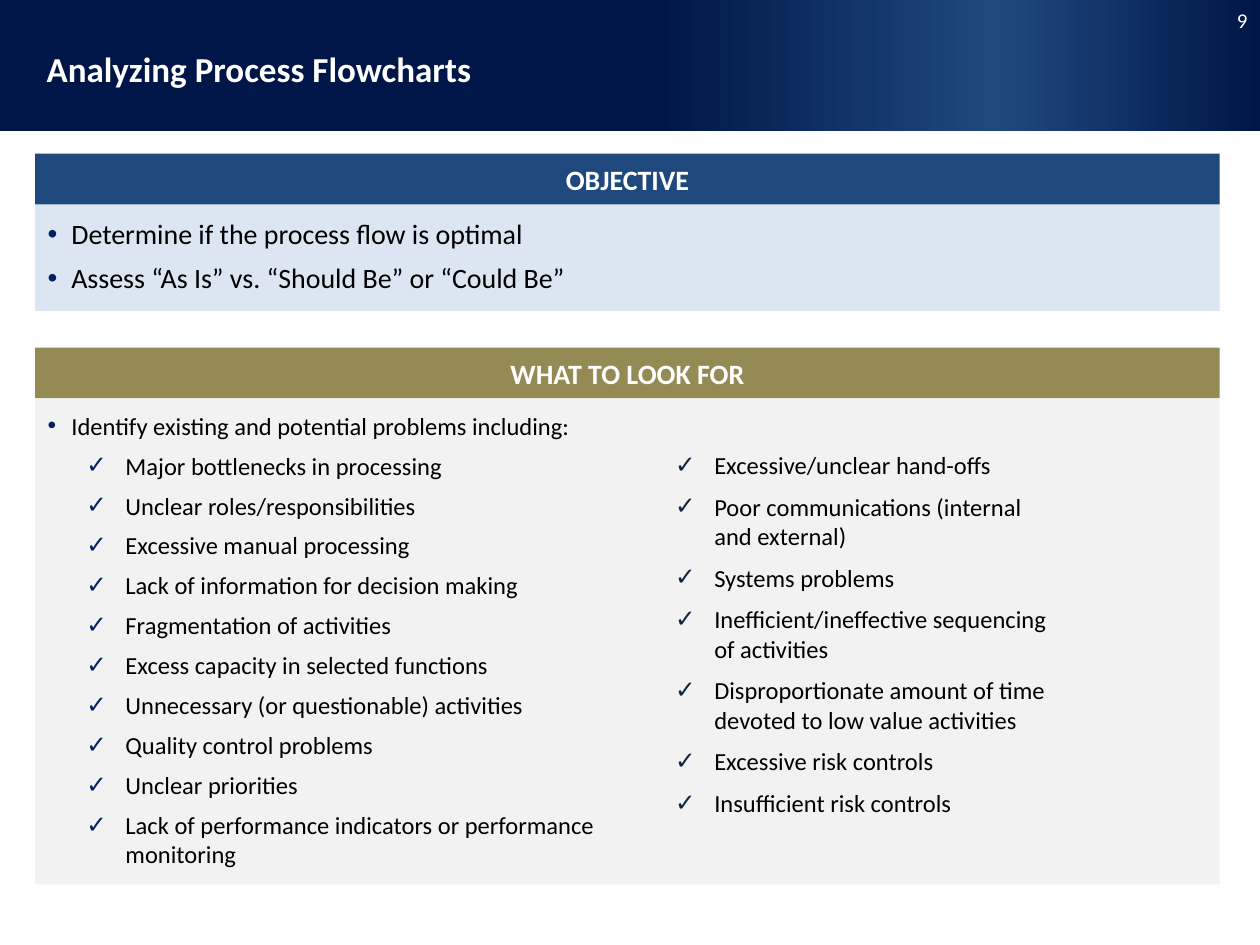
from dataclasses import dataclass

from lxml.etree import SubElement
from pptx import Presentation
from pptx.dml.color import RGBColor
from pptx.enum.shapes import MSO_SHAPE as Preset
from pptx.enum.text import MSO_ANCHOR as Anchor, PP_ALIGN as Align
from pptx.oxml.ns import qn
from pptx.util import Cm, Pt


@dataclass(frozen=True)
class Theme:
    font: str = "Calibri"
    navy: str = "001648"
    blue: str = "1F497D"
    pale_blue: str = "DCE6F2"
    olive: str = "948A54"
    grey: str = "F2F2F2"
    white: str = "FFFFFF"
    black: str = "000000"
    bullet: str = "002060"
    dark_bullet: str = "0F243E"
    title_size: int = 20
    heading_size: int = 16
    list_size: int = 14
    number_size: int = 12


@dataclass(frozen=True)
class Box:
    """Left, top, width and height in centimetres."""
    left: float
    top: float
    width: float
    height: float

    def lengths(self):
        return [Cm(side) for side in (self.left, self.top, self.width, self.height)]


@dataclass(frozen=True)
class ListStyle:
    mark: str
    color: str
    margin: float
    hanging: float
    size: int
    space_after: int = 6


THEME = Theme()
HEADER_HEIGHT = 1.02
POINT = ListStyle("•", THEME.bullet, 0.48, 0.48, THEME.heading_size)
LEAD = ListStyle("•", THEME.bullet, 0.48, 0.48, THEME.list_size)
CHECK = ListStyle("✓", THEME.bullet, 1.57, 0.79, THEME.list_size)
SIDE_CHECK = ListStyle("✓", THEME.dark_bullet, 1.45, 0.79, THEME.list_size, 7)

OBJECTIVES = [
    "Determine if the process flow is optimal",
    "Assess “As Is” vs. “Should Be” or “Could Be”",
]
LEAD_IN = "Identify existing and potential problems including:"
PROBLEMS = [
    "Major bottlenecks in processing",
    "Unclear roles/responsibilities",
    "Excessive manual processing",
    "Lack of information for decision making",
    "Fragmentation of activities",
    "Excess capacity in selected functions",
    "Unnecessary (or questionable) activities",
    "Quality control problems",
    "Unclear priorities",
    "Lack of performance indicators or performance \vmonitoring",
]
MORE_PROBLEMS = [
    "Excessive/unclear hand-offs",
    "Poor communications (internal and external)",
    "Systems problems",
    "Inefficient/ineffective sequencing of activities",
    "Disproportionate amount of time devoted to low value activities",
    "Excessive risk controls",
    "Insufficient risk controls",
]


def set_font(paragraph, size, color, bold=False):
    font = paragraph.font
    font.name, font.size, font.bold = THEME.font, Pt(size), bold
    font.color.rgb = RGBColor.from_string(color)


def set_frame(frame, anchor=Anchor.TOP, inset=0.13):
    """Wrap the text and set its anchor and its top and bottom insets."""
    frame.word_wrap = True
    frame.vertical_anchor = anchor
    frame.margin_left = frame.margin_right = Cm(0.25)
    frame.margin_top = frame.margin_bottom = Cm(inset)


def add_rectangle(shapes, box):
    rectangle = shapes.add_shape(Preset.RECTANGLE, *box.lengths())
    rectangle.shadow.inherit = False
    rectangle.line.fill.background()
    return rectangle


def add_fill(shape, color):
    shape.fill.solid()
    shape.fill.fore_color.rgb = RGBColor.from_string(color)


def add_label(shapes, box, text, size, bold=False, align=Align.LEFT):
    frame = shapes.add_textbox(*box.lengths()).text_frame
    set_frame(frame, Anchor.MIDDLE)
    label = frame.paragraphs[0]
    label.text, label.alignment = text, align
    set_font(label, size, THEME.white, bold)
    return label


def set_bullet(paragraph, style):
    properties = paragraph._p.get_or_add_pPr()
    properties.set("marL", str(Cm(style.margin)))
    properties.set("indent", str(-Cm(style.hanging)))
    color = SubElement(properties, qn("a:buClr"))
    SubElement(color, qn("a:srgbClr"), val=style.color)
    SubElement(properties, qn("a:buFont"), typeface="Arial")
    SubElement(properties, qn("a:buChar"), char=style.mark)


def fill_list(frame, entries):
    """Write (text, style) pairs, one bulleted paragraph each."""
    for index, (text, style) in enumerate(entries):
        point = frame.add_paragraph() if index else frame.paragraphs[0]
        point.text, point.alignment = text, Align.LEFT
        set_bullet(point, style)
        point.space_after = Pt(style.space_after)
        set_font(point, style.size, THEME.black)


def set_gradient(shape, stops):
    shape.fill.gradient()
    shape.fill.gradient_angle = 0
    stop_list = shape._element.spPr.find(".//" + qn("a:gsLst"))
    for old_stop in list(stop_list):
        stop_list.remove(old_stop)
    for percent, color in stops:
        stop = SubElement(stop_list, qn("a:gs"), pos=str(percent * 1000))
        SubElement(stop, qn("a:srgbClr"), val=color)


def add_banner(slide, box, title, number):
    band = add_rectangle(slide.shapes, box)
    set_gradient(band, [(0, THEME.navy), (52, THEME.navy),
                        (79, THEME.blue), (100, THEME.navy)])
    number_box = Box(box.left + box.width - 1.02, box.top + 0.03, 1.02, 0.76)
    add_label(slide.shapes, number_box, number, THEME.number_size, align=Align.RIGHT)
    title_box = Box(box.left + 0.69, box.top + 0.64, 23.5, 1.6)
    heading = add_label(slide.shapes, title_box, title, THEME.title_size, bold=True)
    heading.line_spacing = 0.9


def add_panel(slide, box, heading, header_color, body_color, entries):
    """A coloured header above a box with a bulleted list."""
    shapes = slide.shapes.add_group_shape().shapes
    body = add_rectangle(shapes, Box(box.left, box.top + HEADER_HEIGHT,
                                     box.width, box.height - HEADER_HEIGHT))
    add_fill(body, body_color)
    set_frame(body.text_frame, inset=0.25)
    fill_list(body.text_frame, entries)

    header = add_rectangle(shapes, Box(box.left, box.top, box.width, HEADER_HEIGHT))
    add_fill(header, header_color)
    set_frame(header.text_frame, Anchor.MIDDLE)
    label = header.text_frame.paragraphs[0]
    label.text, label.alignment = heading, Align.CENTER
    set_font(label, THEME.heading_size, THEME.white, bold=True)


def add_side_list(slide, box, items):
    frame = slide.shapes.add_textbox(*box.lengths()).text_frame
    set_frame(frame)
    fill_list(frame, [(item, SIDE_CHECK) for item in items])


def main():
    deck = Presentation()
    deck.slide_width, deck.slide_height = Cm(25.4), Cm(19.05)
    slide = deck.slides.add_slide(deck.slide_layouts[6])
    add_banner(slide, Box(0, 0, 25.4, 2.64), "Analyzing Process Flowcharts", "9")
    add_panel(slide, Box(0.71, 3.1, 23.88, 3.17), "OBJECTIVE", THEME.blue,
              THEME.pale_blue, [(text, POINT) for text in OBJECTIVES])
    look_for = Box(0.71, 7.01, 23.88, 10.82)
    add_panel(slide, look_for, "WHAT TO LOOK FOR", THEME.olive, THEME.grey,
              [(LEAD_IN, LEAD)] + [(text, CHECK) for text in PROBLEMS])
    add_side_list(slide, Box(look_for.left + 11.99, look_for.top + 1.93, 8.97, 8.97),
                  MORE_PROBLEMS)
    deck.save("out.pptx")


if __name__ == "__main__":
    main()
